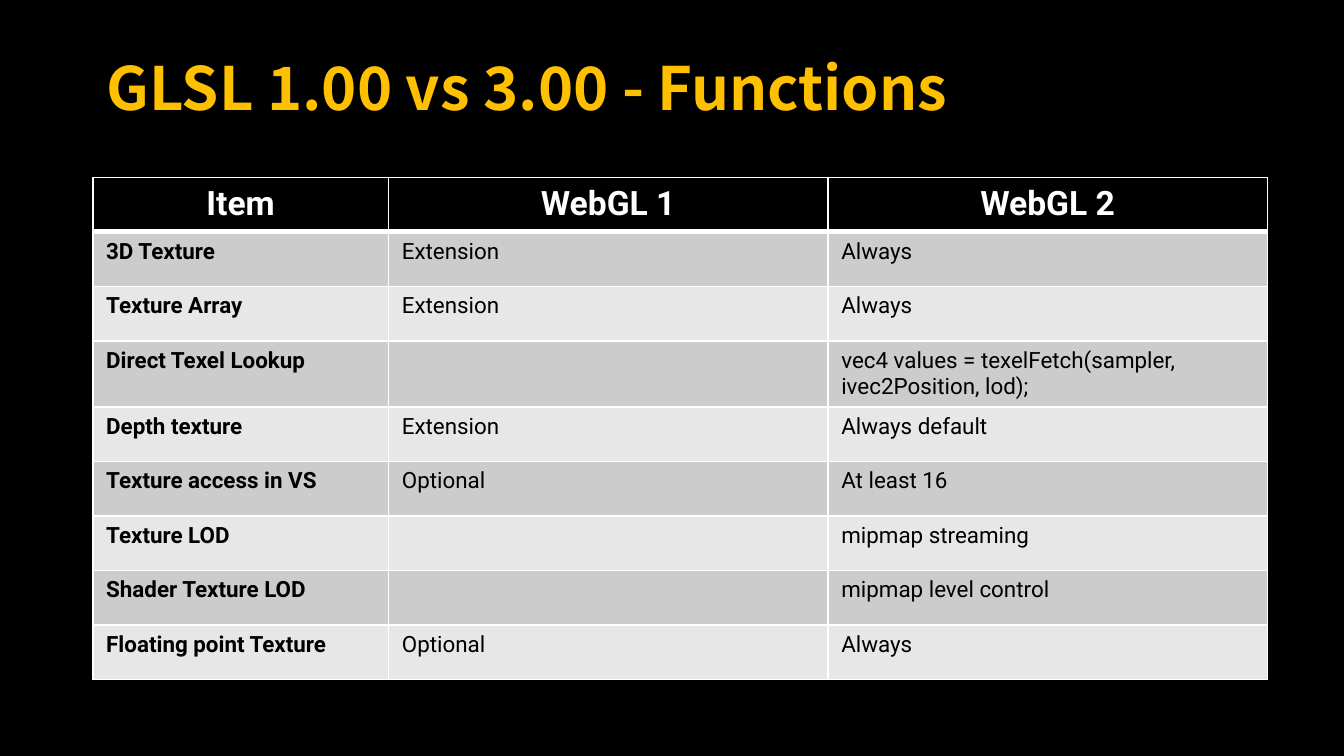
from lxml import etree
from pptx import Presentation
from pptx.dml.color import RGBColor
from pptx.enum.text import MSO_ANCHOR, MSO_AUTO_SIZE, PP_ALIGN
from pptx.oxml.ns import qn
from pptx.util import Inches, Pt

LEFT = PP_ALIGN.LEFT
CENTER = PP_ALIGN.CENTER
MIDDLE = MSO_ANCHOR.MIDDLE
NO_AUTOFIT = MSO_AUTO_SIZE.NONE

BLACK = RGBColor(0x00, 0x00, 0x00)
WHITE = RGBColor(0xFF, 0xFF, 0xFF)
AMBER = RGBColor(0xFF, 0xC0, 0x00)
DARK_BAND = RGBColor(0xCC, 0xCC, 0xCC)
LIGHT_BAND = RGBColor(0xE7, 0xE7, 0xE7)

TITLE_FONT = "Noto Sans CJK KR"
TABLE_FONT = "Roboto"

PAGE_WIDTH = 10
PAGE_HEIGHT = PAGE_WIDTH * 9 / 16
COLUMN_WIDTHS = (2.2, 3.27, 3.27)
TABLE_HEIGHT = 3.65
ROWS = (
    ("Item", "WebGL 1", "WebGL 2"),
    ("3D Texture", "Extension", "Always"),
    ("Texture Array", "Extension", "Always"),
    ("Direct Texel Lookup", "",
     "vec4 values = texelFetch(sampler, ivec2Position, lod);"),
    ("Depth texture", "Extension", "Always default"),
    ("Texture access in VS", "Optional", "At least 16"),
    ("Texture LOD", "", "mipmap streaming"),
    ("Shader Texture LOD", "", "mipmap level control"),
    ("Floating point Texture", "Optional", "Always"),
)


def add_run(para, text, font, size, color, bold):
    span = para.add_run()
    span.text = text
    span.font.name = font
    span.font.size = Pt(size)
    span.font.color.rgb = color
    span.font.bold = bold


def add_title(page, text):
    title = page.shapes.title
    title.left, title.top = Inches(0.69), Inches(0.3)
    title.width, title.height = Inches(8.62), Inches(0.76)
    frame = title.text_frame
    frame.auto_size = NO_AUTOFIT
    frame.vertical_anchor = MIDDLE
    para = frame.paragraphs[0]
    para.alignment = LEFT
    para.line_spacing = 0.9
    add_run(para, text, TITLE_FONT, 32, AMBER, True)


def set_borders(cell, top, bottom):
    """Draw white cell borders; top and bottom are widths in points."""
    properties = cell._tc.get_or_add_tcPr()
    for side, width in (("L", 1), ("R", 1), ("T", top), ("B", bottom)):
        line = etree.SubElement(properties, qn(f"a:ln{side}"), w=str(Pt(width)))
        fill = etree.SubElement(line, qn("a:solidFill"))
        etree.SubElement(fill, qn("a:srgbClr"), val=str(WHITE))


def fill_cell(cell, text, row, column):
    is_header = row == 0
    set_borders(cell, top=3 if row == 1 else 1, bottom=3 if is_header else 1)
    cell.fill.solid()
    if is_header:
        cell.fill.fore_color.rgb = BLACK
    else:
        cell.fill.fore_color.rgb = DARK_BAND if row % 2 else LIGHT_BAND
    if not text:
        return
    para = cell.text_frame.paragraphs[0]
    para.alignment = CENTER if is_header else LEFT
    add_run(para, text, TABLE_FONT, 18 if is_header else 12,
            WHITE if is_header else BLACK, is_header or column == 0)


def add_comparison_table(page):
    frame = page.shapes.add_table(
        len(ROWS), len(COLUMN_WIDTHS), Inches(0.69), Inches(1.32),
        Inches(sum(COLUMN_WIDTHS)), Inches(TABLE_HEIGHT))
    table = frame.table
    table.horz_banding = False
    for column, width in zip(table.columns, COLUMN_WIDTHS):
        column.width = Inches(width)
    for row, texts in enumerate(ROWS):
        for column, text in enumerate(texts):
            fill_cell(table.cell(row, column), text, row, column)


def main():
    deck = Presentation()
    deck.slide_width, deck.slide_height = Inches(PAGE_WIDTH), Inches(PAGE_HEIGHT)
    page = deck.slides.add_slide(deck.slide_layouts[5])
    page.background.fill.solid()
    page.background.fill.fore_color.rgb = BLACK
    add_title(page, "GLSL 1.00 vs 3.00 - Functions")
    add_comparison_table(page)
    deck.save("out.pptx")


if __name__ == "__main__":
    main()
